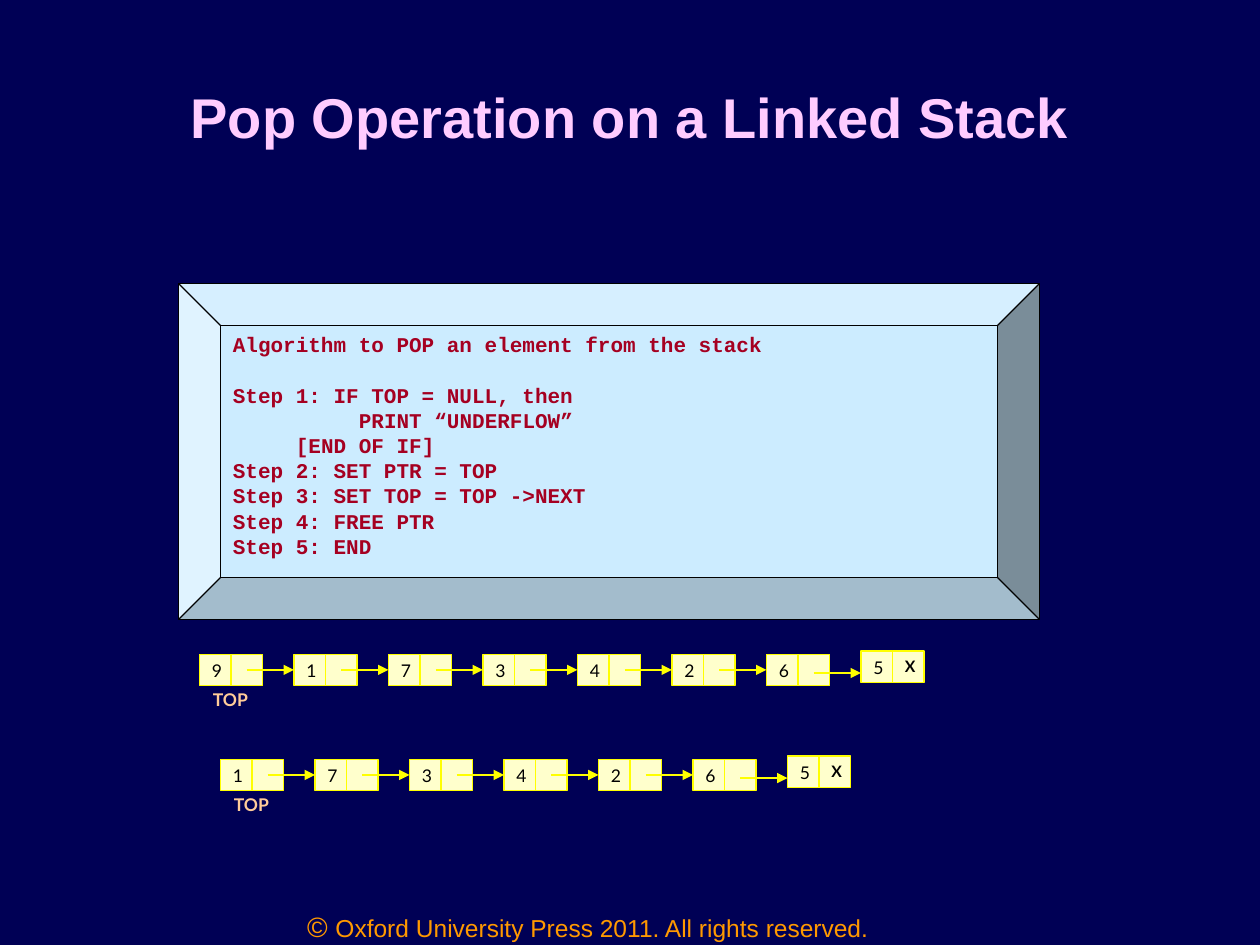
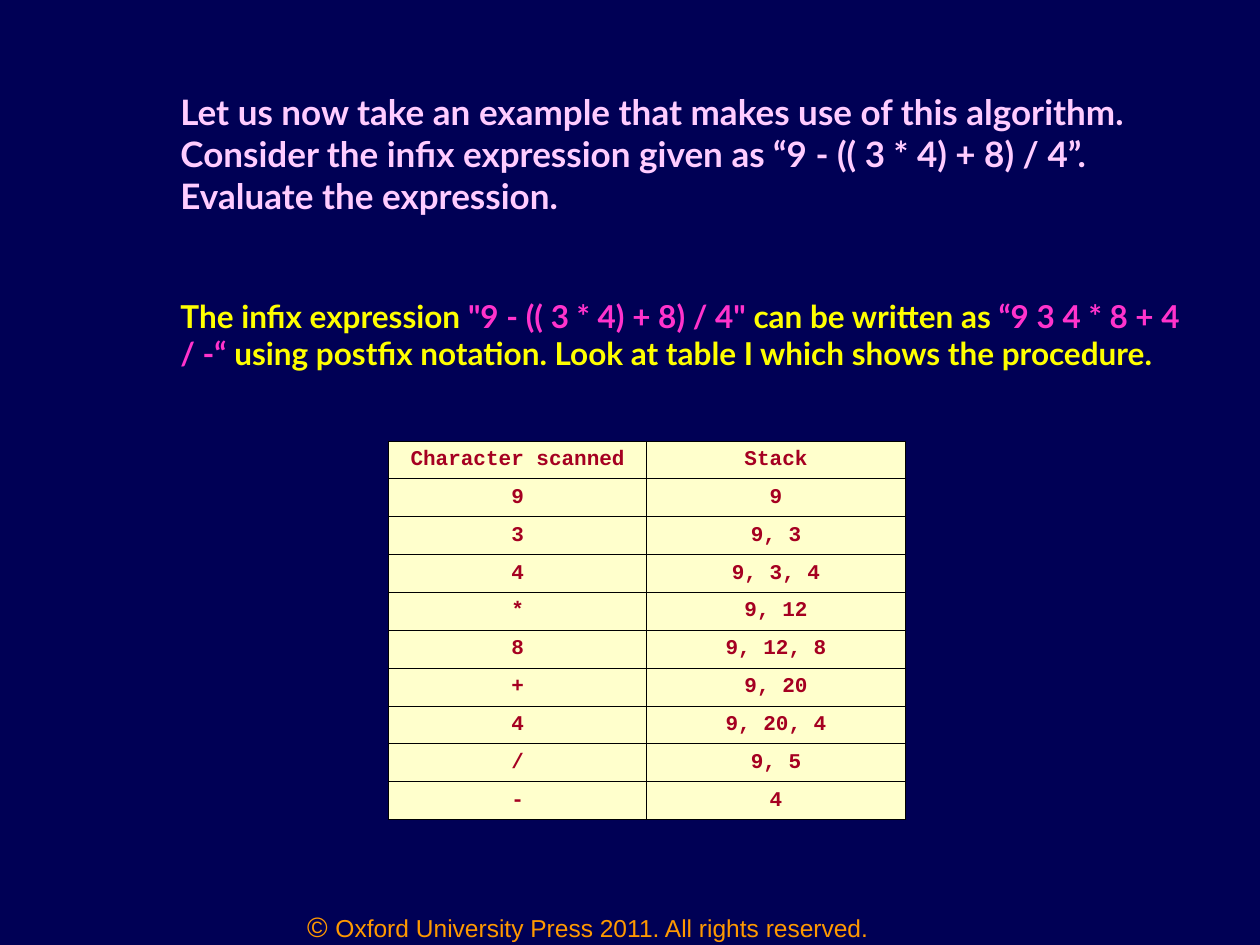
import dataclasses
import typing

import lxml.etree
import pptx
import pptx.dml.color
import pptx.enum.shapes
import pptx.enum.text
import pptx.oxml.ns
import pptx.util

ALIGN = pptx.enum.text.PP_ALIGN
ANCHOR = pptx.enum.text.MSO_ANCHOR
SHAPE = pptx.enum.shapes.MSO_SHAPE


class TextStyle(typing.NamedTuple):
    size: float
    font: str
    colour: str
    bold: bool = False


@dataclasses.dataclass(frozen=True)
class Theme:
    background: str = "000055"
    panel: str = "CCECFF"
    cell: str = "FFFFCC"
    link: str = "FFFF00"
    outline: str = "000000"
    line_width: float = 0.75
    border_width: float = 0.45
    code_spacing: float = 14.4
    title: TextStyle = TextStyle(32, "Arial", "FFCCFF", True)
    footer_sign: TextStyle = TextStyle(16, "Arial", "FF9900")
    footer: TextStyle = TextStyle(14, "Arial", "FF9900")
    code: TextStyle = TextStyle(12, "Courier New", "A50021", True)
    number: TextStyle = TextStyle(10, "Lato", "000000")
    end_mark: TextStyle = TextStyle(9, "Lato", "000000", True)
    pointer: TextStyle = TextStyle(10, "Lato", "FFCC99", True)
    question: TextStyle = TextStyle(20, "Lato", "FFCCFF", True)
    answer: TextStyle = TextStyle(18, "Lato", "FFFF00", True)
    expression: TextStyle = TextStyle(18, "Lato", "FF33CC", True)


def colour(value):
    return pptx.dml.color.RGBColor.from_string(value)


class Deck:
    """Draws styled elements on the current slide, on a grid of 120 columns by 90 rows."""

    COLUMNS, ROWS = 120, 90
    TITLE_ONLY, BLANK = 5, 6

    def __init__(self, theme):
        self.theme = theme
        self.presentation = pptx.Presentation()
        self.presentation.slide_width = pptx.util.Inches(10)
        self.presentation.slide_height = pptx.util.Inches(7.5)
        self.fill(self.presentation.slide_master.background, theme.background)
        self.slide = None

    def x(self, columns):
        return round(self.presentation.slide_width * columns / self.COLUMNS)

    def y(self, rows):
        return round(self.presentation.slide_height * rows / self.ROWS)

    def area(self, left, top, width, height):
        return self.x(left), self.y(top), self.x(width), self.y(height)

    def fill(self, target, value):
        target.fill.solid()
        target.fill.fore_color.rgb = colour(value)

    def stroke(self, shape, value):
        shape.line.color.rgb = colour(value)
        shape.line.width = pptx.util.Pt(self.theme.line_width)

    def set_text(self, frame, paragraphs, align=ALIGN.LEFT, anchor=ANCHOR.TOP, wrap=True):
        frame.word_wrap = wrap
        frame.vertical_anchor = anchor
        for index, runs in enumerate(paragraphs):
            paragraph = frame.add_paragraph() if index else frame.paragraphs[0]
            paragraph.alignment = align
            for text, style in runs:
                run = paragraph.add_run()
                run.text = text
                run.font.size = pptx.util.Pt(style.size)
                run.font.name = style.font
                run.font.bold = style.bold
                run.font.color.rgb = colour(style.colour)
        return frame.paragraphs

    def new_slide(self, title=None):
        layout = self.presentation.slide_layouts[self.TITLE_ONLY if title else self.BLANK]
        self.slide = self.presentation.slides.add_slide(layout)
        if title:
            shape = self.slide.shapes.title
            shape.left, shape.top, shape.width, shape.height = self.area(6, 3.6, 108, 15)
            self.set_text(shape.text_frame, [[(title, self.theme.title)]],
                          ALIGN.CENTER, ANCHOR.MIDDLE)
        notice = [("© ", self.theme.footer_sign),
                  ("Oxford University Press 2011. All rights reserved.", self.theme.footer)]
        self.text((24, 86, 64, 4), [notice], align=ALIGN.CENTER)

    def text(self, box, paragraphs, **layout):
        shape = self.slide.shapes.add_textbox(*self.area(*box))
        return self.set_text(shape.text_frame, paragraphs, **layout)

    def shape(self, shapes, kind, box, fill, line):
        shape = shapes.add_shape(kind, *self.area(*box))
        shape.shadow.inherit = False
        self.fill(shape, fill)
        self.stroke(shape, line)
        return shape

    def code_panel(self, box, heading, steps):
        panel = self.shape(self.slide.shapes, SHAPE.BEVEL, box, self.theme.panel, self.theme.outline)
        panel.adjustments[0] = 0.125
        lines = [[(line, self.theme.code)] for line in (heading, *steps)]
        paragraphs = self.set_text(panel.text_frame, lines)
        for paragraph in paragraphs:
            paragraph.line_spacing = pptx.util.Pt(self.theme.code_spacing)
        paragraphs[1].space_before = pptx.util.Pt(self.theme.code_spacing)

    def node_cell(self, shapes, left, top, text="", style=None):
        box = (left, top, 3, 3)
        cell = self.shape(shapes, SHAPE.RECTANGLE, box, self.theme.cell, self.theme.link)
        if text:
            self.set_text(cell.text_frame, [[(text, style)]])
        return cell

    def arrow(self, shapes, left, right, row):
        connector = shapes.add_connector(
            pptx.enum.shapes.MSO_CONNECTOR.STRAIGHT,
            self.x(left), self.y(row), self.x(right), self.y(row))
        self.stroke(connector, self.theme.link)
        line = connector.line._get_or_add_ln()
        lxml.etree.SubElement(line, pptx.oxml.ns.qn("a:tailEnd"), type="triangle")
        properties = connector._element.spPr
        lxml.etree.SubElement(properties, pptx.oxml.ns.qn("a:effectLst"))
        return connector

    def linked_stack(self, left, top, values):
        shapes = self.slide.shapes.add_group_shape().shapes
        pitch, lowered = 9, top + 0.3
        last = len(values) - 1
        incoming = None
        for index, value in enumerate(values):
            start = left + index * pitch
            row = top if index == last else lowered
            number = self.node_cell(shapes, start, row, value, self.theme.number)
            if index == last:
                self.node_cell(shapes, start + 3, row, "X", self.theme.end_mark)
                continue
            if incoming:
                incoming.end_connect(number, 1)
            self.node_cell(shapes, start + 3, row)
            arrow_row = lowered + (1.8 if index == last - 1 else 1.5)
            incoming = self.arrow(shapes, start + 4.5, start + pitch, arrow_row)
        self.text((left + 0.1, top + 3, 6.1, 3.2), [[("TOP", self.theme.pointer)]],
                  anchor=ANCHOR.MIDDLE, wrap=False)

    def cell_borders(self, cell):
        properties = cell._tc.get_or_add_tcPr()
        width = str(pptx.util.Pt(self.theme.border_width))
        for index, side in enumerate(("lnL", "lnR", "lnT", "lnB")):
            border = lxml.etree.Element(pptx.oxml.ns.qn("a:" + side), w=width)
            solid = lxml.etree.SubElement(border, pptx.oxml.ns.qn("a:solidFill"))
            lxml.etree.SubElement(solid, pptx.oxml.ns.qn("a:srgbClr"), val=self.theme.outline)
            properties.insert(index, border)

    def table(self, box, rows):
        table = self.slide.shapes.add_table(len(rows), len(rows[0]), *self.area(*box)).table
        table.first_row = table.horz_banding = False
        for row_index, row in enumerate(rows):
            for column_index, value in enumerate(row):
                cell = table.cell(row_index, column_index)
                self.fill(cell, self.theme.cell)
                self.cell_borders(cell)
                cell.vertical_anchor = ANCHOR.MIDDLE
                self.set_text(cell.text_frame, [[(value, self.theme.code)]],
                              ALIGN.CENTER, None, None)


def pop_slide(deck):
    deck.new_slide("Pop Operation on a Linked Stack")
    deck.code_panel((17, 27, 82, 32), "Algorithm to POP an element from the stack", [
        "Step 1: IF TOP = NULL, then",
        "\t\tPRINT “UNDERFLOW”",
        "\t[END OF IF]",
        "Step 2: SET PTR = TOP",
        "Step 3: SET TOP = TOP ->NEXT",
        "Step 4: FREE PTR",
        "Step 5: END",
    ])
    stack = "91734265"
    deck.linked_stack(19, 62, stack)
    deck.linked_stack(21, 72, stack[1:])


def postfix_slide(deck):
    theme = deck.theme
    deck.new_slide()
    question = ("Let us now take an example that makes use of this algorithm. Consider the infix "
                "expression given as “9 - (( 3 * 4) + 8) / 4”. Evaluate the expression.")
    answer = [
        ("The infix expression ", theme.answer),
        ("\"9 - (( 3 * 4) + 8) / 4\" ", theme.expression),
        ("can be written as ", theme.answer),
        ("“9 3 4 * 8 + 4 / -“ ", theme.expression),
        ("using postfix notation. Look at table I which shows the procedure.", theme.answer),
    ]
    paragraphs = deck.text((16, 6.2, 98, 31.7), [[(question, theme.question)], answer],
                           anchor=ANCHOR.MIDDLE)
    paragraphs[1].space_before = pptx.util.Pt(45.6)
    deck.table((37, 42, 49.2, 36), [
        ("Character scanned", "Stack"),
        ("9", "9"),
        ("3", "9, 3"),
        ("4", "9, 3, 4"),
        ("*", "9, 12"),
        ("8", "9, 12, 8"),
        ("+", "9, 20"),
        ("4", "9, 20, 4"),
        ("/", "9, 5"),
        ("-", "4"),
    ])


def main():
    deck = Deck(Theme())
    pop_slide(deck)
    postfix_slide(deck)
    deck.presentation.save("out.pptx")


if __name__ == "__main__":
    main()
